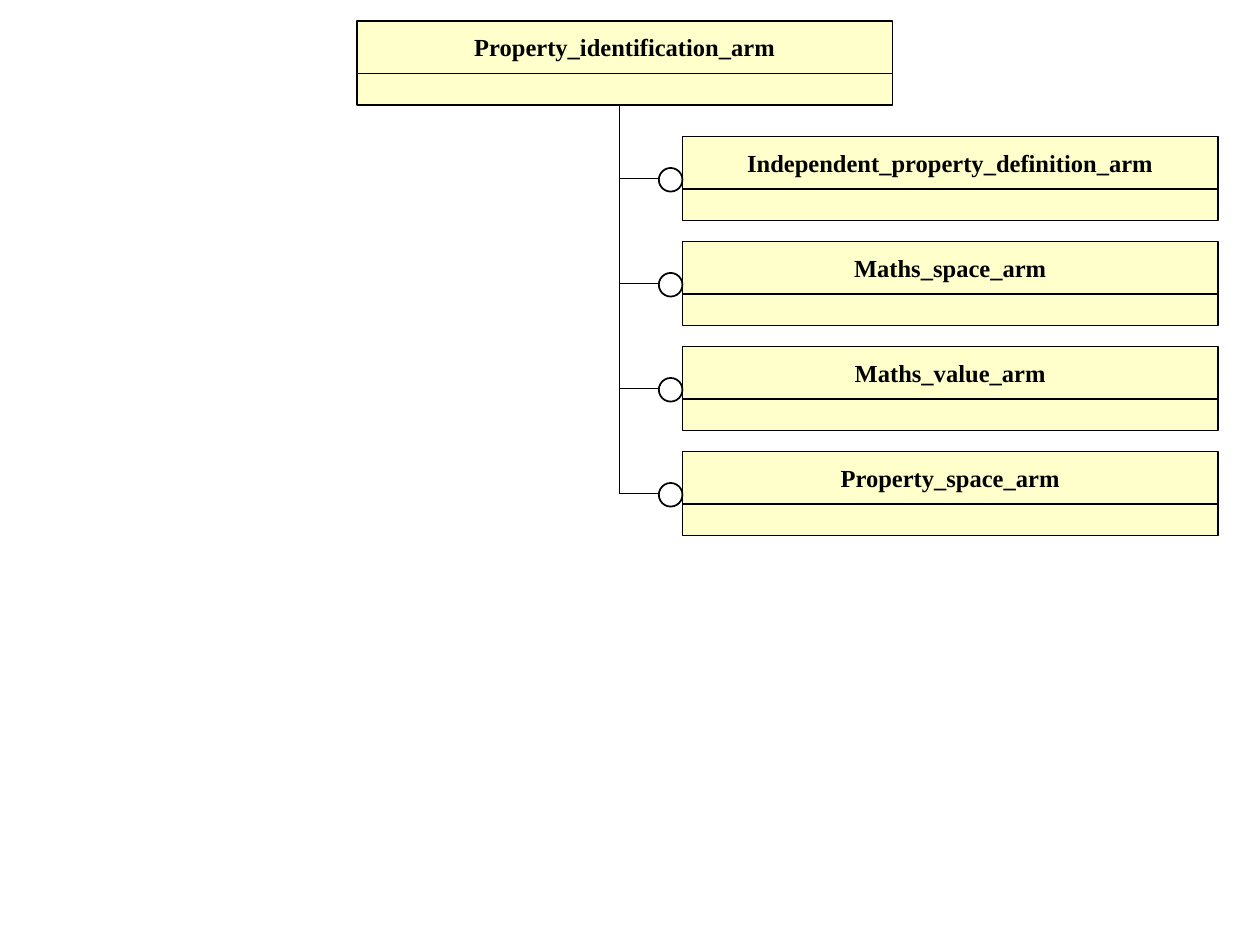
from dataclasses import dataclass

from lxml import etree
from pptx import Presentation
from pptx.dml.color import RGBColor
from pptx.enum.shapes import MSO_CONNECTOR, MSO_SHAPE
from pptx.enum.text import MSO_ANCHOR, PP_ALIGN
from pptx.oxml.ns import qn
from pptx.util import Inches, Pt

RECTANGLE, CIRCLE = MSO_SHAPE.RECTANGLE, MSO_SHAPE.OVAL
STRAIGHT = MSO_CONNECTOR.STRAIGHT
MIDDLE, CENTER = MSO_ANCHOR.MIDDLE, PP_ALIGN.CENTER


@dataclass(frozen=True)
class Theme:
    ink: RGBColor = RGBColor(0x00, 0x00, 0x00)
    schema_fill: RGBColor = RGBColor(0xFF, 0xFF, 0xCC)
    circle_fill: RGBColor = RGBColor(0xFF, 0xFF, 0xFF)
    font: str = "Times New Roman"
    name_size: float = 14
    thin: float = 0.75
    circle_line: float = 1


THEME = Theme()

# Grid of 12 cells to the inch; all positions below are in cells
CELLS_PER_INCH = 12
BOX_WIDTH, NAME_HEIGHT, BODY_HEIGHT = 51, 5, 3
ROOT_COL, ROOT_ROW = 34, 2
CHILD_COL, FIRST_CHILD_ROW, CHILD_STEP = 65, 13, 10
TRUNK_COL, BRANCH_END_COL, BRANCH_DROP = 59, 63, 4
CIRCLE_SIZE, CIRCLE_DROP = 2.25, 3

ROOT_SCHEMA = "Property_identification_arm"
USED_SCHEMAS = [
    "Independent_property_definition_arm",
    "Maths_space_arm",
    "Maths_value_arm",
    "Property_space_arm",
]


def cells(count):
    return Inches(count / CELLS_PER_INCH)


def add_outline(shapes, preset, col, row, width, height, fill, line_width):
    outline = shapes.add_shape(
        preset, cells(col), cells(row), cells(width), cells(height))
    outline.shadow.inherit = False
    outline.fill.solid()
    outline.fill.fore_color.rgb = fill
    outline.line.color.rgb = THEME.ink
    outline.line.width = Pt(line_width)
    return outline


def add_schema(slide, name, col, row):
    """A name compartment above an empty body compartment."""
    schema = slide.shapes.add_group_shape().shapes
    heading = add_outline(schema, RECTANGLE, col, row, BOX_WIDTH, NAME_HEIGHT,
                          THEME.schema_fill, THEME.thin)
    add_outline(schema, RECTANGLE, col, row + NAME_HEIGHT, BOX_WIDTH,
                BODY_HEIGHT, THEME.schema_fill, THEME.thin)

    frame = heading.text_frame
    frame.word_wrap = False
    frame.vertical_anchor = MIDDLE
    paragraph = frame.paragraphs[0]
    paragraph.alignment = CENTER
    run = paragraph.add_run()
    run.text = name
    run.font.name = THEME.font
    run.font.size = Pt(THEME.name_size)
    run.font.bold = True
    run.font.color.rgb = THEME.ink


def add_link(slide, start, end):
    """A plain line between two (column, row) points."""
    link = slide.shapes.add_connector(
        STRAIGHT, *(cells(value) for value in start + end))
    link.line.color.rgb = THEME.ink
    link.line.width = Pt(THEME.thin)
    etree.SubElement(link._element.spPr, qn("a:effectLst"))


def add_branch(slide, child_row):
    """A line from the trunk, ending in a circle at the used schema."""
    branch_row = child_row + BRANCH_DROP
    add_link(slide, (TRUNK_COL, branch_row), (BRANCH_END_COL, branch_row))
    add_outline(slide.shapes, CIRCLE, CHILD_COL - CIRCLE_SIZE,
                child_row + CIRCLE_DROP, CIRCLE_SIZE, CIRCLE_SIZE,
                THEME.circle_fill, THEME.circle_line)


def main():
    presentation = Presentation()
    presentation.slide_width = Inches(10)
    presentation.slide_height = Inches(7.5)
    slide = presentation.slides.add_slide(presentation.slide_layouts[6])

    # Root schema and the trunk below it
    add_schema(slide, ROOT_SCHEMA, ROOT_COL, ROOT_ROW)
    last_child_row = FIRST_CHILD_ROW + CHILD_STEP * (len(USED_SCHEMAS) - 1)
    add_link(slide, (TRUNK_COL, last_child_row + BRANCH_DROP),
             (TRUNK_COL, ROOT_ROW + NAME_HEIGHT + BODY_HEIGHT))

    # Used schemas, each on its own branch
    for index, name in enumerate(USED_SCHEMAS):
        child_row = FIRST_CHILD_ROW + CHILD_STEP * index
        add_schema(slide, name, CHILD_COL, child_row)
        add_branch(slide, child_row)

    presentation.save("out.pptx")


if __name__ == "__main__":
    main()
